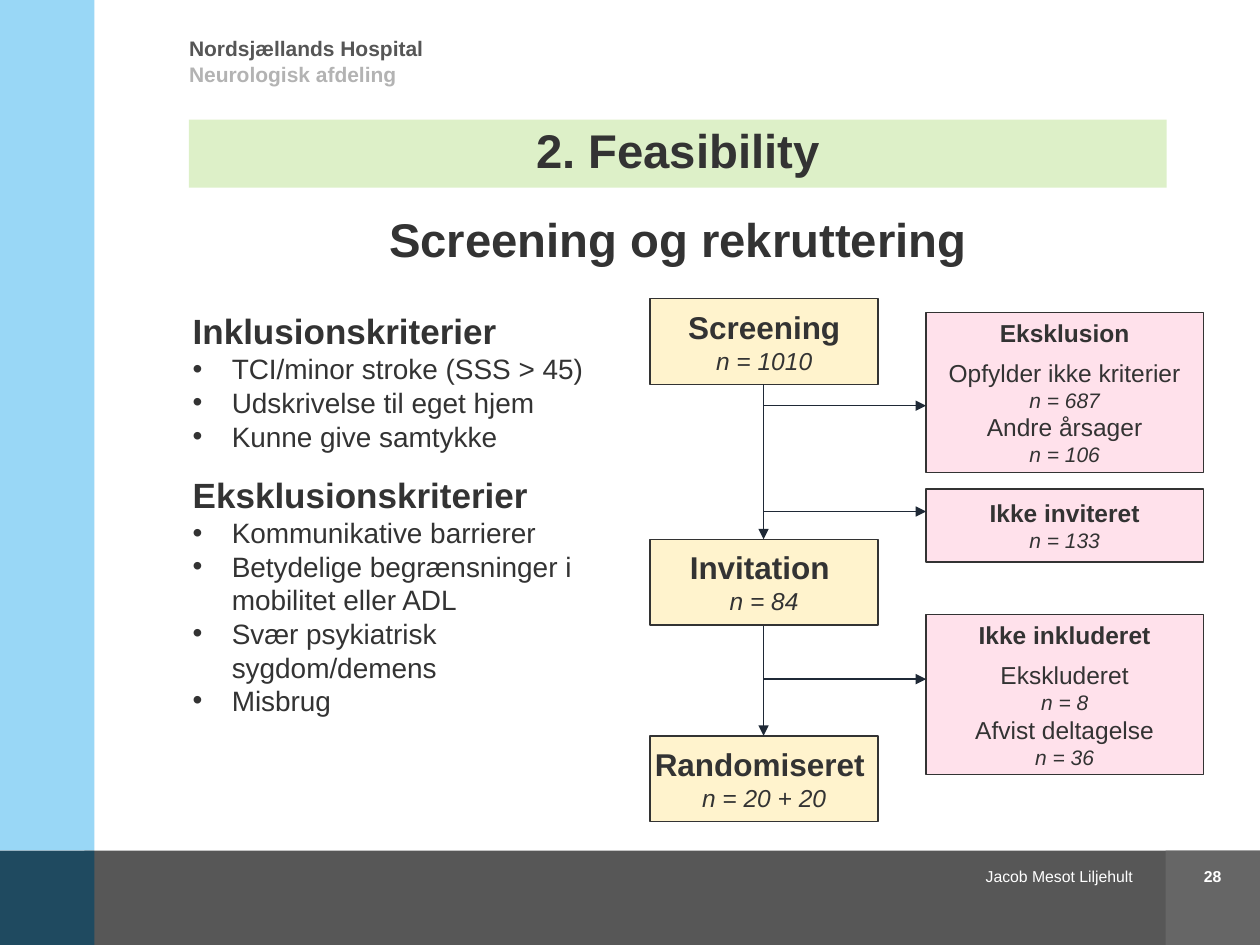
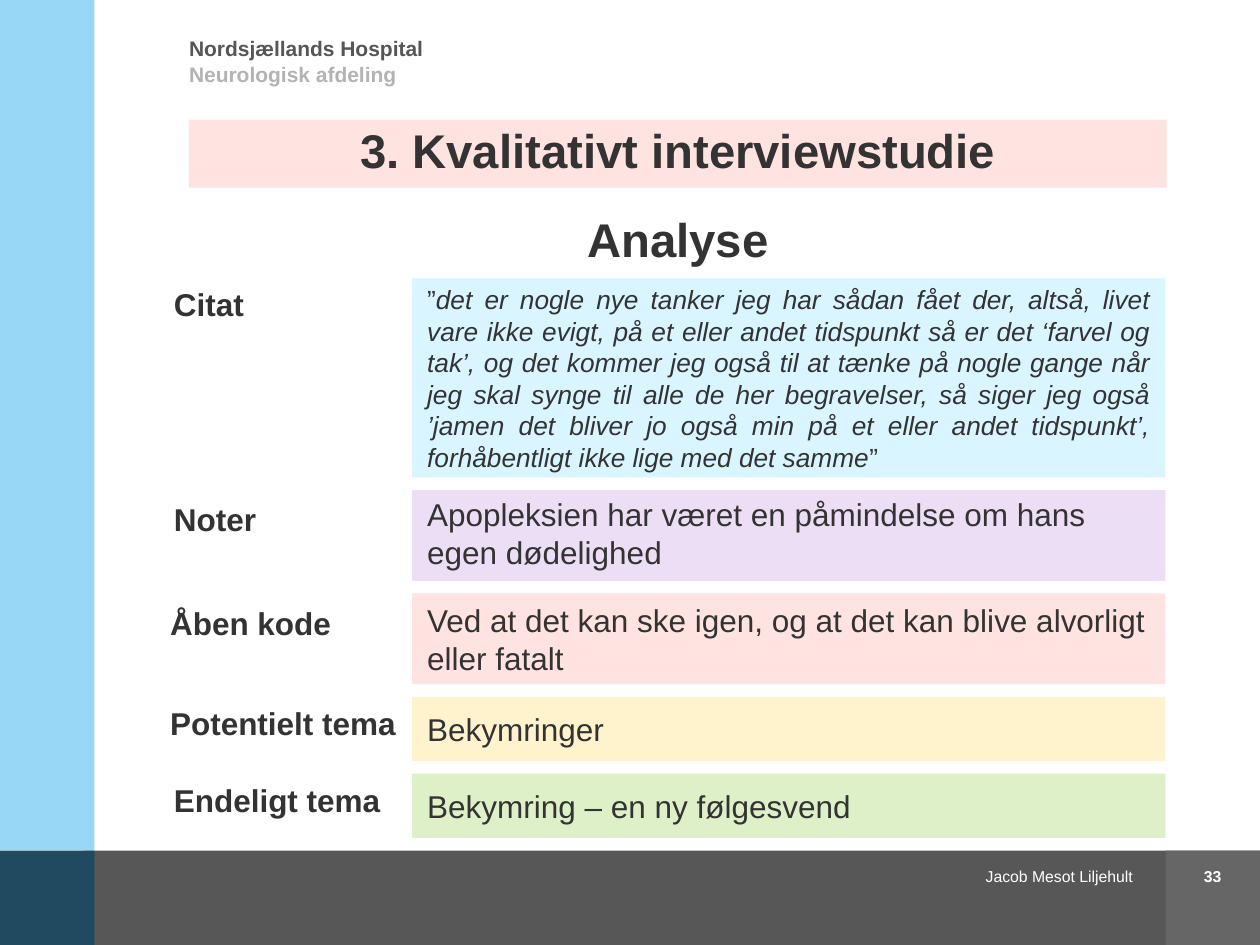
from lxml import etree
from pptx import Presentation
from pptx.dml.color import RGBColor
from pptx.enum import shapes, text
from pptx.oxml.ns import qn
from pptx.util import Inches, Pt

FONT = "Arial"
INK = RGBColor(0x33, 0x33, 0x33)
ARROW = RGBColor(0x1F, 0x29, 0x36)
WHITE = RGBColor(0xFF, 0xFF, 0xFF)
HOSPITAL_GREY = RGBColor(0x56, 0x56, 0x56)
UNIT_GREY = RGBColor(0xB3, 0xB3, 0xB3)
FOOTER = RGBColor(0x57, 0x57, 0x57)
FOOTER_END = RGBColor(0x66, 0x66, 0x66)
SKY = RGBColor(0x99, 0xD7, 0xF6)
NAVY = RGBColor(0x1F, 0x4A, 0x60)
GREEN = RGBColor(0xDD, 0xF0, 0xC8)
ROSE = RGBColor(0xFF, 0xE3, 0xE1)
YELLOW = RGBColor(0xFF, 0xF3, 0xCD)
PINK = RGBColor(0xFF, 0xE1, 0xEB)
ICE = RGBColor(0xD9, 0xF5, 0xFF)
LILAC = RGBColor(0xEC, 0xDF, 0xF5)

LEFT, CENTER = text.PP_ALIGN.LEFT, text.PP_ALIGN.CENTER
RIGHT, JUSTIFY = text.PP_ALIGN.RIGHT, text.PP_ALIGN.JUSTIFY
TOP, MIDDLE = text.MSO_ANCHOR.TOP, text.MSO_ANCHOR.MIDDLE


def add_text(s, at, paragraphs, fill=None, line=None, anchor=TOP,
             insets=(0, 0, 0, 0), **base):
    """Add a box of (content, format) paragraphs; base is the format they share.

    Content is a string, or a list of (string, italic) runs.
    """
    at = [Inches(v) for v in at]
    if fill is None:
        sp = s.shapes.add_textbox(*at)
    else:
        sp = s.shapes.add_shape(shapes.MSO_SHAPE.RECTANGLE, *at)
        sp.shadow.inherit = False
        sp.fill.solid()
        sp.fill.fore_color.rgb = fill
        if line is None:
            sp.line.fill.background()
        else:
            sp.line.color.rgb = line
            sp.line.width = Pt(0.75)
    tf = sp.text_frame
    tf.word_wrap = True
    tf.vertical_anchor = anchor
    tf.margin_left, tf.margin_top, tf.margin_right, tf.margin_bottom = map(Inches, insets)
    for i, (content, own) in enumerate(paragraphs):
        fmt = {**base, **own}
        p = tf.paragraphs[0] if i == 0 else tf.add_paragraph()
        p.alignment = fmt.get("align", LEFT)
        p.line_spacing = fmt.get("spacing", 1.0)
        p.space_before = Pt(fmt.get("before", 0))
        p.space_after = Pt(fmt.get("after", 0))
        if fmt.get("bullet"):
            pPr = p._p.get_or_add_pPr()
            pPr.set("marL", str(Inches(0.31)))
            pPr.set("indent", str(-Inches(0.31)))
            etree.SubElement(pPr, qn("a:buFont"), typeface=FONT)
            etree.SubElement(pPr, qn("a:buChar"), char="•")
        if isinstance(content, str):
            content = [(content, fmt.get("italic", False))]
        for words, italic in content:
            r = p.add_run()
            r.text = words
            r.font.name = FONT
            r.font.size = Pt(fmt["size"])
            r.font.bold = fmt.get("bold", False)
            r.font.italic = italic
            r.font.color.rgb = fmt.get("color", INK)


def add_arrow(s, x1, y1, x2, y2):
    cx = s.shapes.add_connector(shapes.MSO_CONNECTOR.STRAIGHT,
                                *[Inches(v) for v in (x1, y1, x2, y2)])
    cx.line.color.rgb = ARROW
    cx.line.width = Pt(0.75)
    etree.SubElement(cx.line._get_or_add_ln(), qn("a:tailEnd"), type="triangle")
    etree.SubElement(cx._element.spPr, qn("a:effectLst"))


prs = Presentation()
prs.slide_width, prs.slide_height = Inches(10), Inches(7.5)

# Shared frame, title band and heading
slides = []
for title, band, heading, number in [
    ("2. Feasibility", GREEN, "Screening og rekruttering", "28"),
    ("3. Kvalitativt interviewstudie", ROSE, "Analyse", "33"),
]:
    s = prs.slides.add_slide(prs.slide_layouts[6])
    slides.append(s)
    for at, color in [
        ((0.67, 6.75, 9.33, 0.75), FOOTER),
        ((9.25, 6.75, 0.75, 0.75), FOOTER_END),
        ((0, 0, 0.75, 6.75), SKY),
        ((0, 6.75, 0.75, 0.75), NAVY),
    ]:
        add_text(s, at, [], fill=color)
    add_text(s, (1.5, 0.28, 3.61, 0.24), [("Nordsjællands Hospital", {})],
             size=12, bold=True, color=HOSPITAL_GREY)
    add_text(s, (1.5, 0.49, 3.61, 0.46), [("Neurologisk afdeling", {})],
             size=12, bold=True, color=UNIT_GREY)
    add_text(s, (6.47, 6.88, 2.52, 0.15), [("Jacob Mesot Liljehult", {})],
             size=9, color=WHITE, align=RIGHT)
    add_text(s, (9.25, 6.88, 0.75, 0.15), [(number, {})],
             size=9, bold=True, color=WHITE, align=CENTER)
    for y, words, fill in [(0.95, title, band), (1.66, heading, None)]:
        add_text(s, (1.5, y, 7.76, 0.54), [(words, {})], fill=fill, anchor=MIDDLE,
                 size=27, bold=True, align=CENTER, spacing=0.85)

screening, analysis = slides

# Slide 1: criteria
criteria = []
for name, items in [
    ("Inklusionskriterier", ["TCI/minor stroke (SSS > 45)", "Udskrivelse til eget hjem",
                             "Kunne give samtykke"]),
    ("Eksklusionskriterier", ["Kommunikative barrierer",
                              "Betydelige begrænsninger i mobilitet eller ADL",
                              "Svær psykiatrisk sygdom/demens", "Misbrug"]),
]:
    criteria.append((name, dict(size=20, bold=True, before=12 if criteria else 0)))
    criteria += [(item, dict(bullet=True)) for item in items]
add_text(screening, (1.53, 2.46, 3.27, 4.21), criteria, size=16)

# Slide 1: flow chart
STEP_X, STEP_W, STEP_H = 5.16, 1.81, 0.68
LOSS_X, LOSS_W = 7.35, 2.2
FLOW_X = 6.06

for y, step, count in [(2.37, "Screening", "n = 1010"), (4.28, "Invitation ", "n = 84"),
                       (5.84, "Randomiseret ", "n = 20 + 20")]:
    add_text(screening, (STEP_X, y, STEP_W, STEP_H),
             [(step, dict(size=18, bold=True)), (count, dict(size=14, italic=True))],
             fill=YELLOW, line=INK, anchor=MIDDLE, align=CENTER)

for y, h, loss, reasons in [
    (2.48, 1.27, "Eksklusion", [("Opfylder ikke kriterier", "n = 687"),
                                ("Andre årsager", "n = 106")]),
    (3.88, 0.58, "Ikke inviteret", [(None, "n = 133")]),
    (4.88, 1.27, "Ikke inkluderet", [("Ekskluderet", "n = 8"),
                                     ("Afvist deltagelse", "n = 36")]),
]:
    rows = [(loss, dict(bold=True, after=6 if len(reasons) > 1 else 0))]
    for reason, count in reasons:
        if reason:
            rows.append((reason, {}))
        rows.append((count, dict(size=12, italic=True)))
    add_text(screening, (LOSS_X, y, LOSS_W, h), rows, fill=PINK, line=INK,
             anchor=MIDDLE, align=CENTER, size=14)

for y1, y2 in [(3.05, 4.28), (4.97, 5.84)]:
    add_arrow(screening, FLOW_X, y1, FLOW_X, y2)
for y in (3.22, 4.06, 5.39):
    add_arrow(screening, FLOW_X, y, LOSS_X, y)

# Slide 2: from quotation to final theme
quote = [
    ("”", False),
    ("det er nogle nye tanker jeg har sådan fået der, altså, livet vare ikke evigt, "
     "på et eller andet tidspunkt så er det ‘farvel og tak’, og det kommer jeg også til "
     "at tænke på nogle gange når jeg skal synge til alle de her begravelser, så siger "
     "jeg også ’jamen det bliver jo også min på et eller andet tidspunkt’, "
     "forhåbentligt ikke lige med det samme", True),
    ("”", False),
]
GAP = 0.1
y = 2.21
for label, label_x, label_dy, h, fill, content, fmt in [
    ("Citat", 1.38, 0.05, 1.58, ICE, quote, dict(size=15, align=JUSTIFY)),
    ("Noter", 1.38, 0.08, 0.72, LILAC,
     "Apopleksien har været en påmindelse om hans egen dødelighed", {}),
    ("Åben kode", 1.35, 0.08, 0.72, ROSE,
     "Ved at det kan ske igen, og at det kan blive alvorligt eller fatalt",
     dict(anchor=MIDDLE)),
    ("Potentielt tema", 1.35, 0.06, 0.51, YELLOW, "Bekymringer", dict(anchor=MIDDLE)),
    ("Endeligt tema", 1.38, 0.06, 0.51, GREEN, "Bekymring – en ny følgesvend",
     dict(anchor=MIDDLE)),
]:
    pad = 0 if "anchor" in fmt else 0.04
    add_text(analysis, (3.27, y, 5.98, h), [(content, {})], fill=fill,
             insets=(0.12, pad, 0.12, 0), **{"size": 18, **fmt})
    add_text(analysis, (label_x, y + label_dy, 1.85, 0.28), [(label, {})],
             size=18, bold=True)
    y += h + GAP

prs.save("out.pptx")
